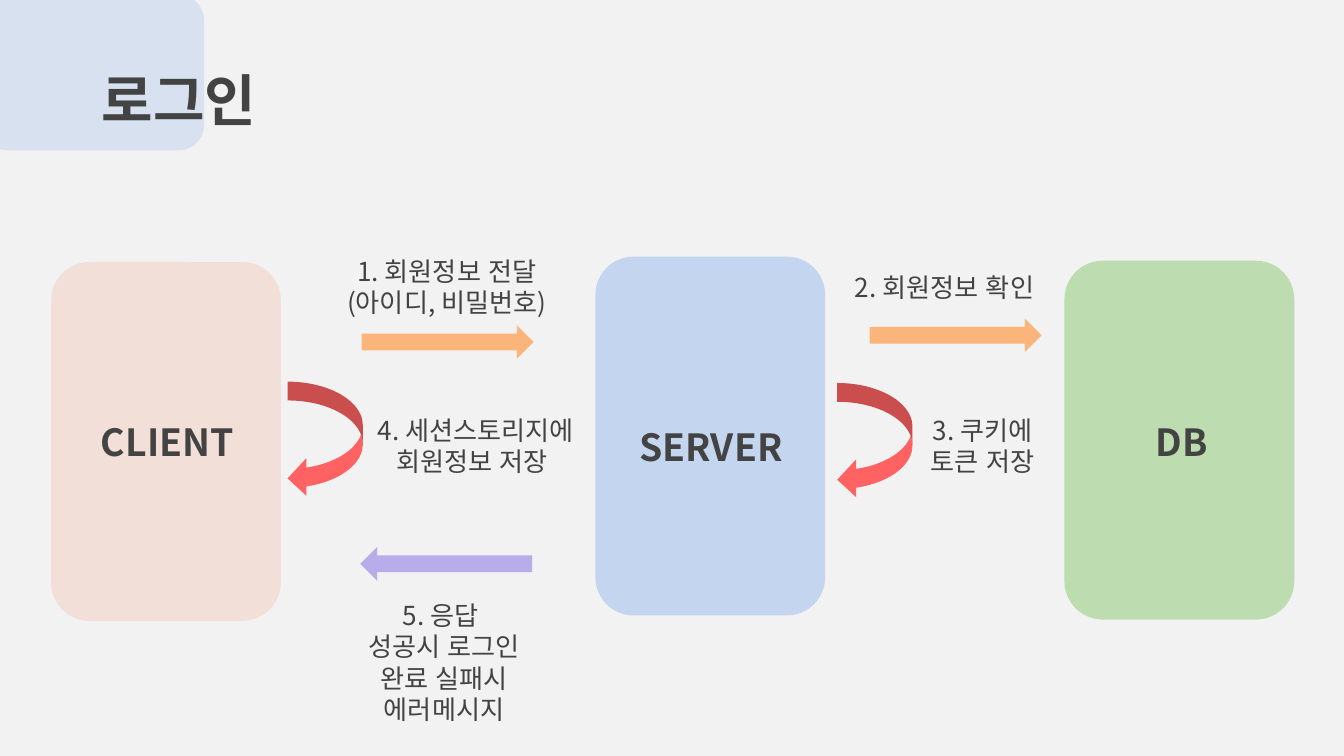
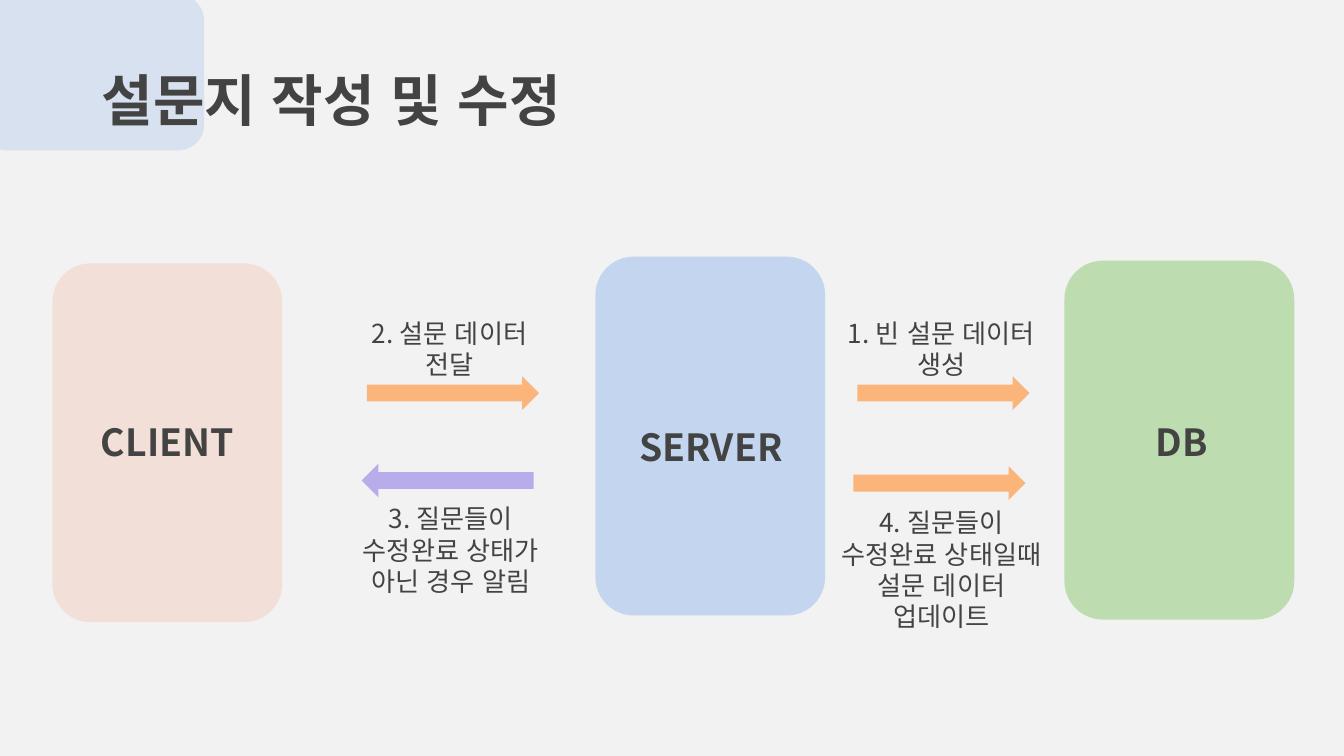
from dataclasses import dataclass

from lxml import etree
from pptx import Presentation
from pptx.dml.color import RGBColor
from pptx.enum import lang, shapes, text
from pptx.oxml import ns
from pptx.slide import Slide
from pptx.util import Inches, Pt

FONT = "Noto Sans CJK KR"
INK = RGBColor(0x43, 0x43, 0x43)
PAPER = RGBColor(0xF2, 0xF2, 0xF2)
SKY = RGBColor(0x8C, 0xB1, 0xEE)
PINK = RGBColor(0xF2, 0xD9, 0xCF)
BLUE = RGBColor(0xB5, 0xCB, 0xF0)
GREEN = RGBColor(0xAB, 0xD5, 0x9A)
ORANGE = RGBColor(0xFB, 0xB4, 0x79)
PURPLE = RGBColor(0xB9, 0xAC, 0xEA)
RED = RGBColor(0xFE, 0x62, 0x62)

KIND = shapes.MSO_SHAPE
ALIGN = text.PP_ALIGN
ANCHOR = text.MSO_ANCHOR


@dataclass
class Box:
    left: float
    top: float
    width: float
    height: float


@dataclass
class Node:
    name: str
    color: RGBColor
    left: float
    top: float
    label: Box


@dataclass
class Arrow:
    left: float
    top: float
    back: bool = False


@dataclass
class Note:
    words: str
    left: float
    top: float
    width: float = 1.71
    height: float = 0.43


@dataclass
class Loop:
    left: float
    top: float


@dataclass
class Flow:
    title: str
    width: float
    client: Node
    arrows: list[Arrow]
    notes: list[Note]
    loops: list[Loop]


def client(left: float, top: float) -> Node:
    return Node("CLIENT", PINK, left, top, Box(0.39, 2.92, 1.71, 0.63))


NODES = [
    Node("SERVER", BLUE, 4.43, 1.91, Box(4.43, 2.96, 1.72, 0.63)),
    Node("DB", GREEN, 7.92, 1.94, Box(7.94, 2.92, 1.71, 0.63)),
]

FLOWS = [
    Flow(
        "로그인",
        3.71,
        client(0.38, 1.95),
        [Arrow(2.69, 2.42), Arrow(2.68, 4.07, True), Arrow(6.47, 2.37)],
        [
            Note("1. 회원정보 전달 (아이디, 비밀번호) ", 2.47, 1.8),
            Note("2. 회원정보 확인 ", 6.2, 1.92),
            Note("3. 쿠키에 \n토큰 저장 ", 6.79, 2.98, 1.1, 0.74),
            Note("4. 세션스토리지에 회원정보 저장 ", 2.7, 2.98, 1.68),
            Note("5. 응답 \n성공시 로그인 완료 실패시 에러메시지", 2.45, 4.36, height=0.92),
        ],
        [Loop(2.14, 2.84), Loop(6.23, 2.85)],
    ),
    Flow(
        "설문지 작성 및 수정",
        4.94,
        client(0.39, 1.96),
        [
            Arrow(2.73, 2.8),
            Arrow(2.69, 3.45, True),
            Arrow(6.38, 2.8),
            Arrow(6.35, 3.47),
        ],
        [
            Note("2. 설문 데이터 전달", 2.49, 2.26),
            Note("1. 빈 설문 데이터 생성", 6.15, 2.26),
            Note("3. 질문들이 수정완료 상태가 아닌 경우 알림", 2.41, 3.64, 1.89, 0.92),
            Note("4. 질문들이 수정완료 상태일때 설문 데이터 업데이트", 6.15, 3.67),
        ],
        [],
    ),
]


def place(box: Box) -> list[int]:
    return [Inches(n) for n in (box.left, box.top, box.width, box.height)]


def draw(
    slide: Slide,
    kind: KIND,
    box: Box,
    color: RGBColor,
    alpha: int = 100,
    turn: int = 0,
) -> None:
    shape = slide.shapes.add_shape(kind, *place(box))
    shape.shadow.inherit = False
    shape.rotation = turn
    shape.fill.solid()
    shape.fill.fore_color.rgb = color
    shape.line.fill.background()
    if alpha < 100:
        tint = shape.fill._xPr.find(".//" + ns.qn("a:srgbClr"))
        etree.SubElement(tint, ns.qn("a:alpha"), val=str(alpha * 1000))


def write(
    slide: Slide,
    words: str,
    box: Box,
    size: int,
    bold: bool = False,
    align: ALIGN = ALIGN.CENTER,
    anchor: ANCHOR = ANCHOR.TOP,
) -> None:
    frame = slide.shapes.add_textbox(*place(box)).text_frame
    frame.word_wrap = True
    frame.vertical_anchor = anchor
    frame.margin_left = frame.margin_right = Inches(0.1)
    frame.margin_top = frame.margin_bottom = Inches(0.1)
    frame.text = words
    for line in frame.paragraphs:
        line.alignment = align
        for run in line.runs:
            run.font.size = Pt(size)
            run.font.bold = bold
            run.font.name = FONT
            run.font.color.rgb = INK
            run.font.language_id = lang.MSO_LANGUAGE_ID.KOREAN
            props = run.font._element
            etree.SubElement(props, ns.qn("a:ea"), typeface=FONT)


def build(slide: Slide, flow: Flow) -> None:
    draw(slide, KIND.ROUNDED_RECTANGLE, Box(-0.14, -0.04, 1.66, 1.16), SKY, 25)
    write(slide, flow.title, Box(0.66, 0.39, flow.width, 0.82), 30, True, ALIGN.LEFT)
    for node in [flow.client, *NODES]:
        box = Box(node.left, node.top, 1.71, 2.67)
        draw(slide, KIND.ROUNDED_RECTANGLE, box, node.color, 74)
        write(slide, node.name, node.label, 20, True, anchor=ANCHOR.BOTTOM)
    for arrow in flow.arrows:
        color, turn = (PURPLE, 180) if arrow.back else (ORANGE, 0)
        box = Box(arrow.left, arrow.top, 1.28, 0.25)
        draw(slide, KIND.RIGHT_ARROW, box, color, turn=turn)
    for note in flow.notes:
        write(slide, note.words, Box(note.left, note.top, note.width, note.height), 14)
    for loop in flow.loops:
        draw(slide, KIND.CURVED_LEFT_ARROW, Box(loop.left, loop.top, 0.56, 0.86), RED)


def main() -> None:
    deck = Presentation()
    deck.slide_width = Inches(10)
    deck.slide_height = deck.slide_width * 9 // 16
    paper = deck.slide_master.background.fill
    paper.solid()
    paper.fore_color.rgb = PAPER
    for flow in FLOWS:
        build(deck.slides.add_slide(deck.slide_layouts[6]), flow)
    deck.save("out.pptx")


if __name__ == "__main__":
    main()
